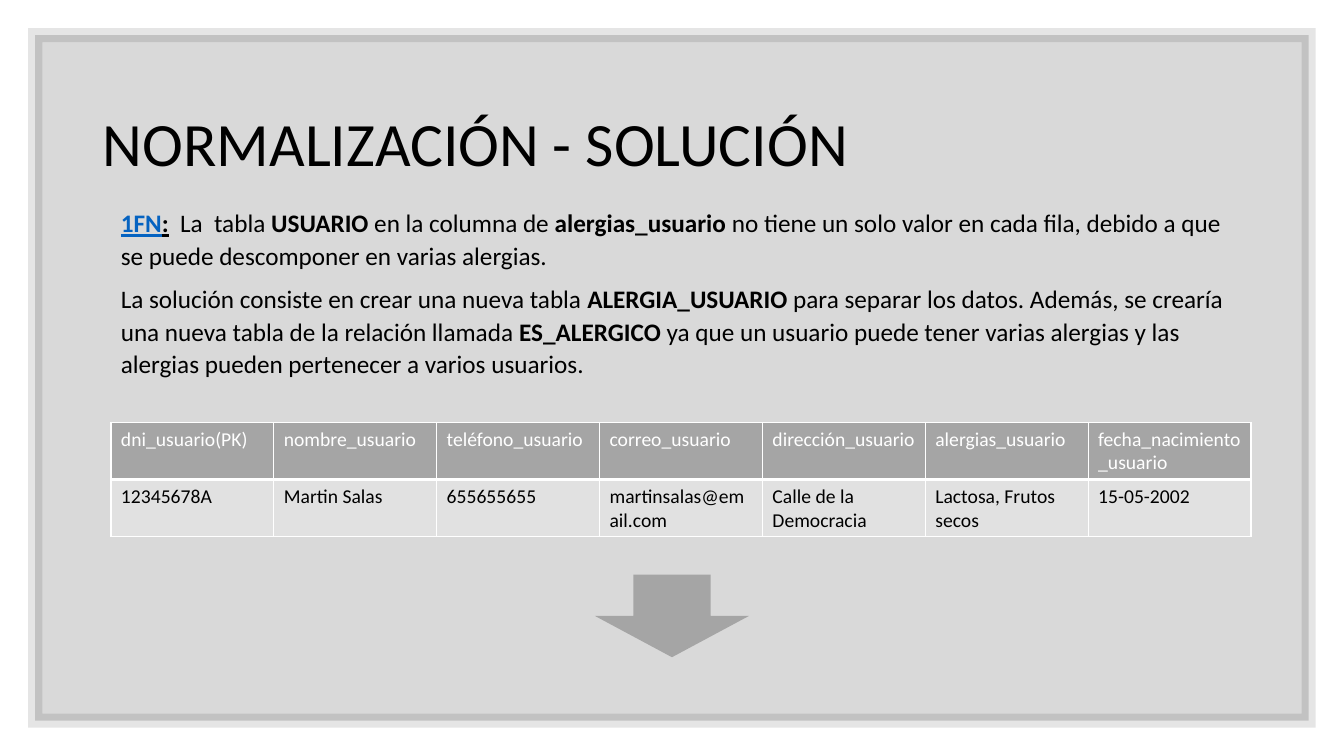
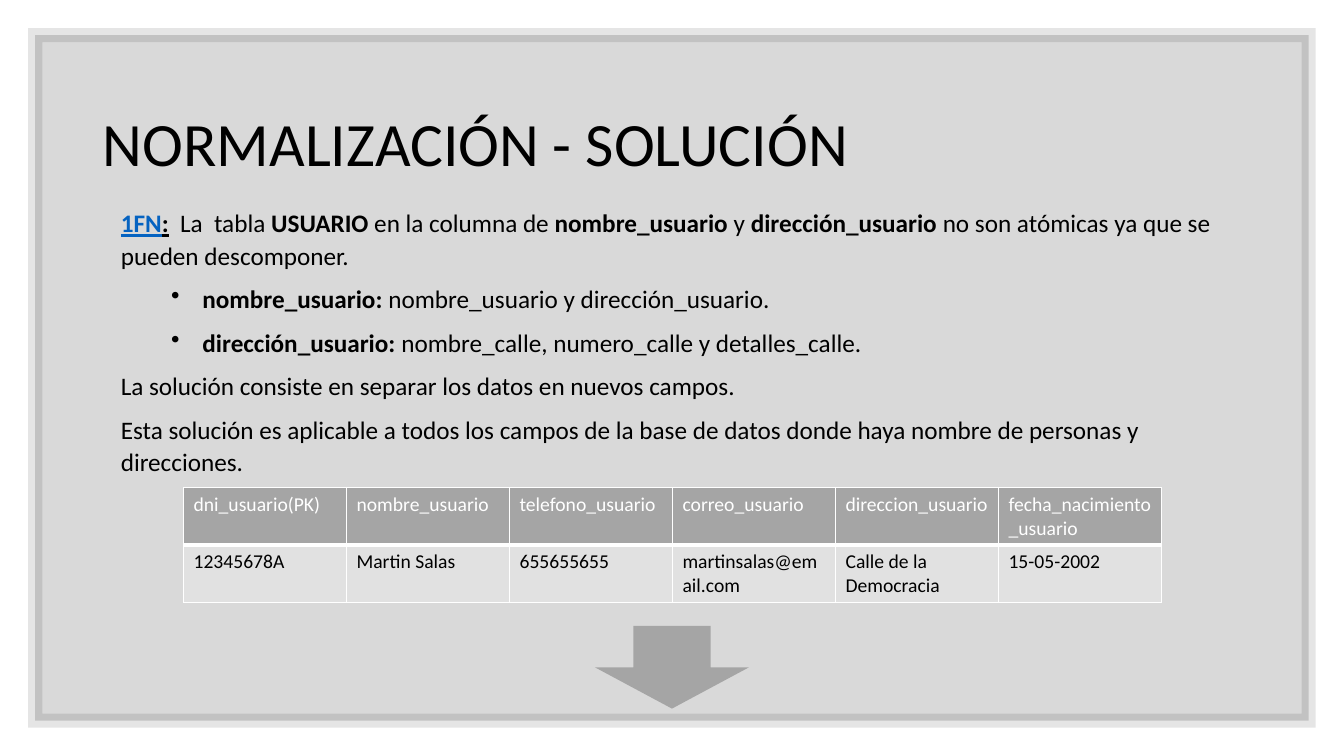
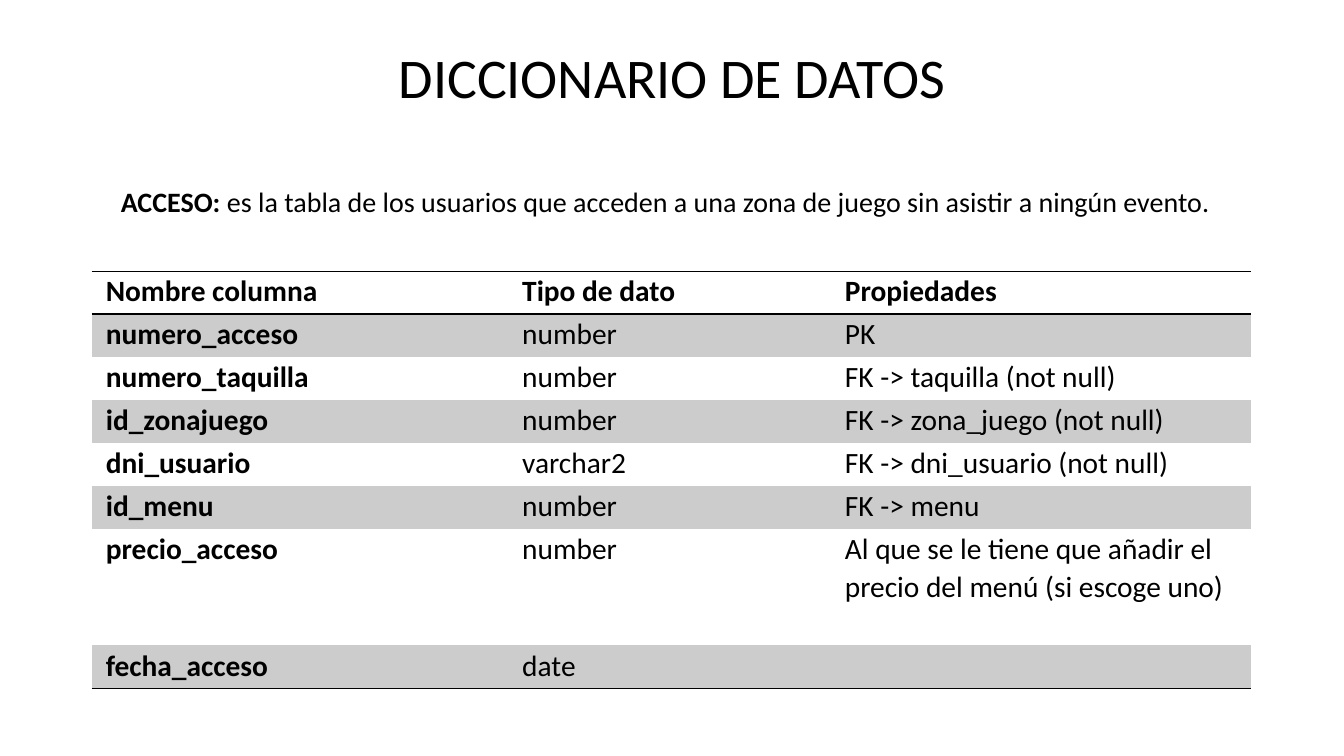
from lxml import etree
from pptx import Presentation
from pptx.dml.color import RGBColor
from pptx.enum.shapes import MSO_SHAPE
from pptx.enum.text import MSO_ANCHOR, MSO_AUTO_SIZE, PP_ALIGN
from pptx.oxml.ns import qn
from pptx.util import Inches, Pt

RECT, ARROW = MSO_SHAPE.RECTANGLE, MSO_SHAPE.DOWN_ARROW
MIDDLE, GROW = MSO_ANCHOR.MIDDLE, MSO_AUTO_SIZE.SHAPE_TO_FIT_TEXT
LEFT, CENTER = PP_ALIGN.LEFT, PP_ALIGN.CENTER


class Theme:
    font = "Calibri"
    ink = RGBColor(0, 0, 0)
    white = RGBColor(255, 255, 255)
    blue = RGBColor(0x05, 0x63, 0xC1)
    gray = RGBColor(0xA5, 0xA5, 0xA5)
    pale = RGBColor(0xE1, 0xE1, 0xE1)
    band = RGBColor(0xCC, 0xCC, 0xCC)
    title, head, cell, lead, body, small = 44, 40, 21, 20, 18, 14
    plain = "{2D5ABB26-0587-4C30-8999-92F81FD0307C}"


def write(para, text, size, color=Theme.ink, space=None, after=None):
    font = para.font
    font.name, font.size, font.color.rgb = Theme.font, Pt(size), color
    para.line_spacing = space
    if after:
        para.space_after = Pt(after)
    for i, part in enumerate(text.split("*")):
        if part:
            run = para.add_run()
            run.text = part
            run.font.bold = i % 2 == 1
            if part in ("1FN", ":"):
                run.font.underline = True
            if part == "1FN":
                run.font.color.rgb = Theme.blue


def border(cell, color, **sides):
    props = cell._tc.get_or_add_tcPr()
    order = [side for side in "LRTB" if side in sides]
    for i, side in enumerate(order):
        line = etree.Element(qn("a:ln" + side), w=str(Pt(sides[side])))
        fill = etree.SubElement(line, qn("a:solidFill"))
        etree.SubElement(fill, qn("a:srgbClr"), val=str(color))
        props.insert(i, line)


deck = Presentation()
deck.slide_width, deck.slide_height = Inches(13.33), Inches(7.5)
layout = deck.slide_layouts[5]

fields = [
    ("dni_usuario(PK)", "12345678A"),
    ("nombre_usuario", "Martin Salas"),
    ("teléfono_usuario", "655655655"),
    ("correo_usuario", "martinsalas@email.com"),
    ("dirección_usuario", "Calle de la Democracia"),
    ("alergias_usuario", "Lactosa, Frutos secos"),
    ("fecha_nacimiento_usuario", "15-05-2002"),
]
atomic = [
    (name.replace("é", "e").replace("ó", "o"), value)
    for name, value in fields if name != "alergias_usuario"
]
steps = [
    (2.26, [
        (0, "*1FN**:*  La  tabla *USUARIO* en la columna de *alergias_usuario* no tiene "
            "un solo valor en cada fila, debido a que se puede descomponer en varias alergias. "),
        (0, "La solución consiste en crear una nueva tabla *ALERGIA_USUARIO* para separar "
            "los datos. Además, se crearía una nueva tabla de la relación llamada "
            "*ES_ALERGICO *ya que un usuario puede tener varias alergias y las alergias "
            "pueden pertenecer a varios usuarios."),
    ], fields, (1.1, 4.19, 11.31), 5.7),
    (2.8, [
        (0, "*1FN**:*  La  tabla *USUARIO* en la columna de *nombre_usuario *y "
            "*dirección_usuario *no son atómicas ya que se pueden descomponer. "),
        (1, "*nombre_usuario: *nombre_usuario y dirección_usuario."),
        (1, "*dirección_usuario: *nombre_calle, numero_calle y detalles_calle."),
        (0, "La solución consiste en separar los datos en nuevos campos. "),
        (0, "Esta solución es aplicable a todos los campos de la base de datos donde haya "
            "nombre de personas y direcciones."),
    ], atomic, (1.82, 4.84, 9.7), 6.21),
]

for tall, notes, data, (left, top, wide), low in steps:
    slide = deck.slides.add_slide(layout)
    shapes = slide.shapes
    title = shapes.title
    title.left, title.top = Inches(0.92), Inches(0.73)
    title.width, title.height = Inches(11.5), Inches(1.45)
    title.text_frame.vertical_anchor = MIDDLE
    para = title.text_frame.paragraphs[0]
    para.alignment = LEFT
    write(para, "NORMALIZACIÓN - SOLUCIÓN", Theme.title, space=0.9)

    panel = shapes.add_shape(RECT, Inches(0.35), Inches(0.35), Inches(12.63), Inches(6.8))
    panel.shadow.inherit = False
    panel.fill.solid()
    panel.fill.fore_color.rgb = Theme.ink
    panel.line.color.rgb = Theme.ink
    panel.line.width = Pt(10)
    props = panel.element.spPr
    for tint, alpha in zip(props.iter(qn("a:srgbClr")), ("15000", "10000")):
        etree.SubElement(tint, qn("a:alpha"), val=alpha)
    etree.SubElement(props.find(qn("a:ln")), qn("a:miter"), lim="800000")
    title.element.addprevious(panel.element)

    box = shapes.add_textbox(Inches(1.1), Inches(1.99), Inches(11.17), Inches(tall))
    frame = box.text_frame
    frame.word_wrap = True
    frame.auto_size = GROW
    for i, (level, text) in enumerate(notes):
        para = frame.add_paragraph() if i else frame.paragraphs[0]
        write(para, text, Theme.body, space=1.07, after=8)
        if level:
            para.level = level
            props = para._p.get_or_add_pPr()
            props.set("marL", str(Inches(0.81)))
            props.set("indent", str(Inches(-0.31)))
            dot = etree.Element(qn("a:buChar"), char="•")
            props.find(qn("a:defRPr")).addprevious(dot)

    grid = shapes.add_table(2, len(data), Inches(left), Inches(top), Inches(wide), Inches(1.13))
    next(grid.element.iter(qn("a:tableStyleId"))).text = Theme.plain
    for col, pair in enumerate(data):
        for row, text in enumerate(pair):
            cell = grid.table.cell(row, col)
            cell.fill.solid()
            cell.fill.fore_color.rgb = Theme.pale if row else Theme.gray
            write(cell.text_frame.paragraphs[0], text, Theme.small,
                  Theme.ink if row else Theme.white)
            if row:
                border(cell, Theme.white, L=1, R=1, B=1)
            else:
                border(cell, Theme.white, L=1, R=1, T=1, B=3)

    arrow = shapes.add_shape(ARROW, Inches(5.9), Inches(low), Inches(1.53), Inches(0.82))
    arrow.shadow.inherit = False
    arrow.fill.solid()
    arrow.fill.fore_color.rgb = Theme.gray
    arrow.line.fill.background()

slide = deck.slides.add_slide(layout)
title = slide.shapes.title
title.left, title.top = Inches(1.1), Inches(0.19)
title.width, title.height = Inches(11.13), Inches(1.22)
title.text_frame.vertical_anchor = MIDDLE
para = title.text_frame.paragraphs[0]
para.alignment = CENTER
write(para, "DICCIONARIO DE DATOS", Theme.head, space=0.9)

box = slide.shapes.add_textbox(Inches(1.1), Inches(1.6), Inches(11.13), Inches(0.84))
frame = box.text_frame
frame.word_wrap = True
frame.vertical_anchor = MIDDLE
write(frame.paragraphs[0],
      "*ACCESO:* es la tabla de los usuarios que acceden a una zona de juego sin asistir "
      "a ningún evento.", Theme.lead, space=0.9, after=8)

rows = [
    ("*Nombre columna*", "*Tipo de dato*", "*Propiedades*"),
    ("*numero_acceso*", "number", "PK"),
    ("*numero_taquilla*", "number", "FK -> taquilla (not null)"),
    ("*id_zonajuego*", "number", "FK -> zona_juego (not null)"),
    ("*dni_usuario*", "varchar2", "FK -> dni_usuario (not null)"),
    ("*id_menu*", "number", "FK -> menu "),
    ("*precio_acceso*", "number",
     "Al que se le tiene que añadir el precio del menú (si escoge uno)"),
    ("*fecha_acceso*", "date", ""),
]
last = len(rows) - 1
high, tall = 4.14, 1.16
grid = slide.shapes.add_table(len(rows), 3, Inches(0.91), Inches(2.69), Inches(11.5), Inches(high))
next(grid.element.iter(qn("a:tableStyleId"))).text = Theme.plain
table = grid.table
for col, wide in zip(table.columns, (4.13, 3.2, 4.17)):
    col.width = Inches(wide)
for r, texts in enumerate(rows):
    table.rows[r].height = Inches(tall if r == last - 1 else (high - tall) / last)
    for c, text in enumerate(texts):
        cell = table.cell(r, c)
        cell.margin_left = cell.margin_right = Inches(0.14)
        cell.margin_top = cell.margin_bottom = 0
        if r % 2:
            cell.fill.solid()
            cell.fill.fore_color.rgb = Theme.band
        else:
            cell.fill.background()
        write(cell.text_frame.paragraphs[0], text, Theme.cell, space=1.07, after=8)
        if r == 0:
            border(cell, Theme.ink, T=1, B=1)
        elif r == last:
            border(cell, Theme.ink, B=1)

deck.save("out.pptx")
